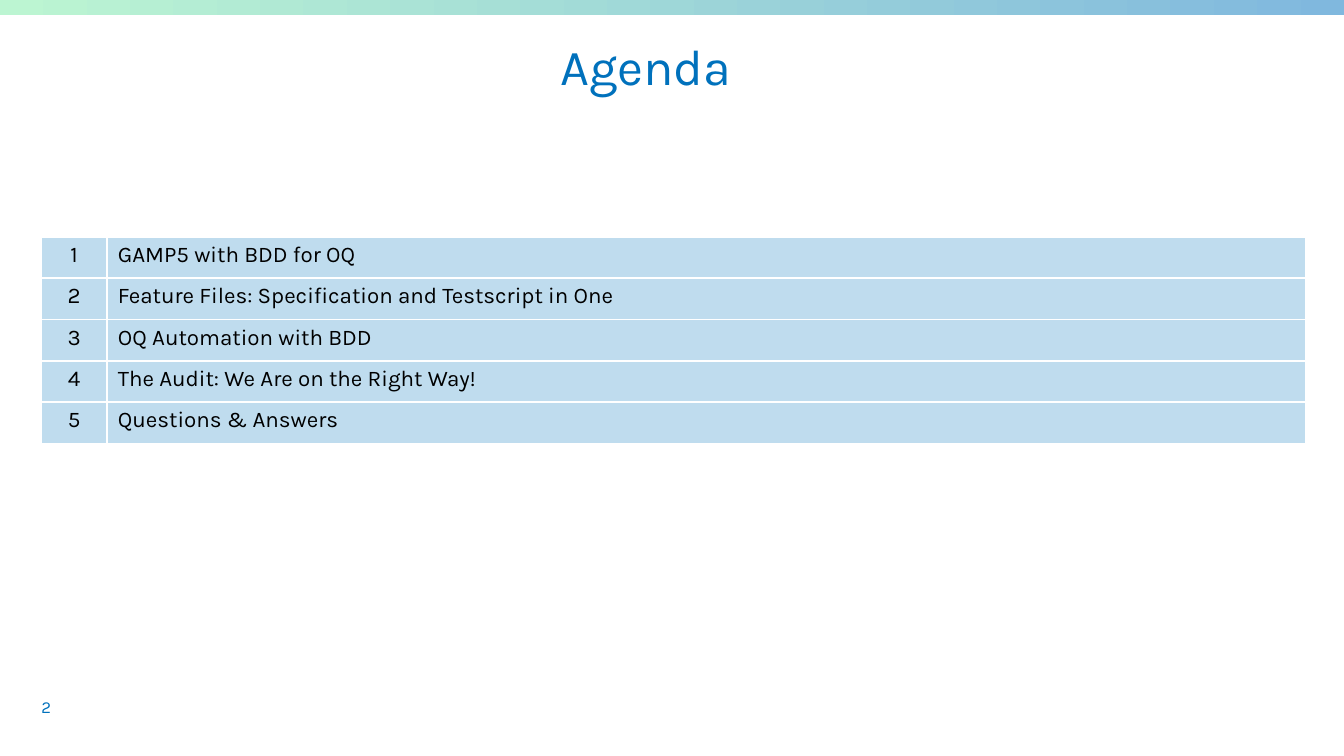
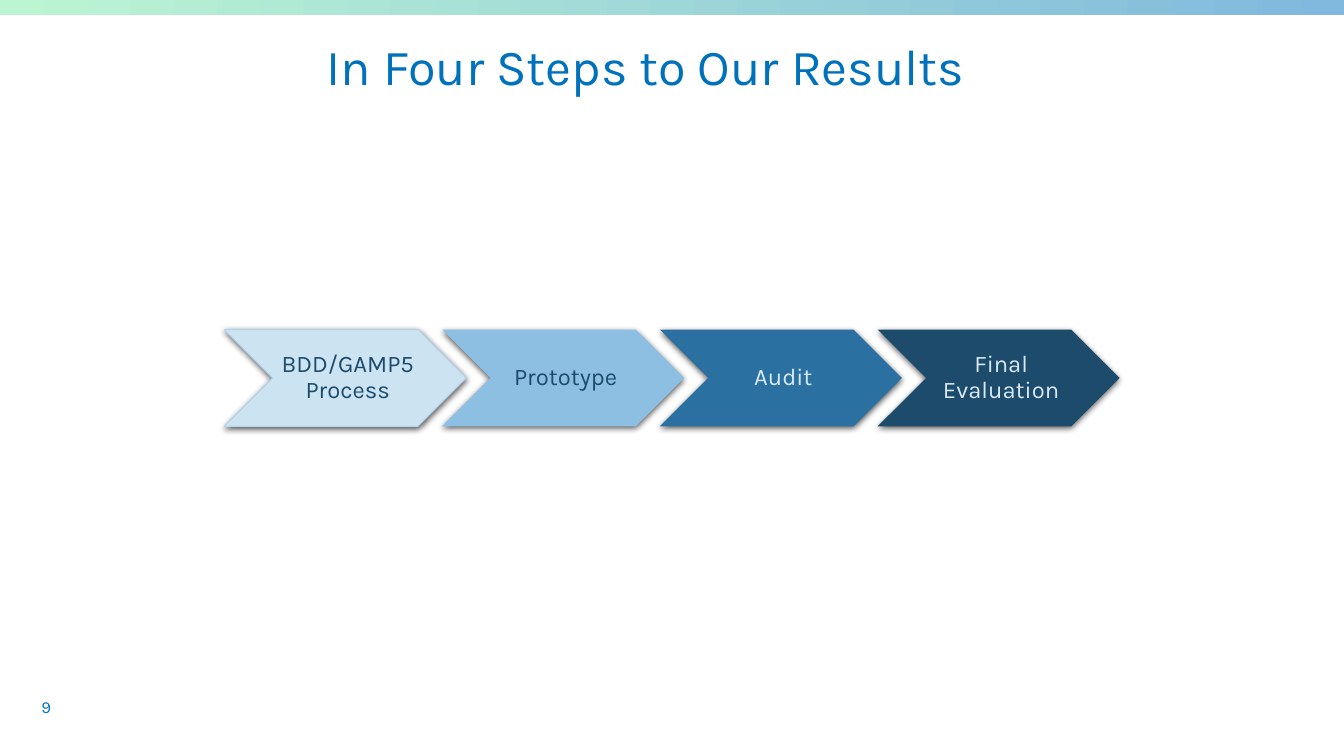
from lxml.etree import SubElement
from pptx import Presentation
from pptx.dml.color import RGBColor
from pptx.enum.shapes import MSO_SHAPE
from pptx.enum.text import MSO_ANCHOR, MSO_AUTO_SIZE, PP_ALIGN
from pptx.oxml import parse_xml
from pptx.oxml.ns import nsdecls, qn
from pptx.util import Inches, Pt

# Content
AGENDA = [
    "GAMP5 with BDD for OQ",
    "Feature Files: Specification and Testscript in One",
    "OQ Automation with BDD",
    "The Audit: We Are on the Right Way!",
    "Questions & Answers",
]

# Shared look
FONT = "Karla"
BLUE = RGBColor(0x00, 0x71, 0xBC)
MINT = RGBColor(0xBC, 0xF5, 0xD2)
SKY = RGBColor(0x80, 0xB8, 0xDE)
BLACK = RGBColor(0x00, 0x00, 0x00)
CELL = RGBColor(0xBF, 0xDC, 0xEE)
PALE = RGBColor(0xCC, 0xE3, 0xF2)
PALE_EDGE = RGBColor(0xB3, 0xD4, 0xEB)
LIGHT = RGBColor(0x8C, 0xBF, 0xE1)
MID = RGBColor(0x2A, 0x70, 0xA0)
DARK = RGBColor(0x1C, 0x4B, 0x6B)
ICE = RGBColor(0xD9, 0xEA, 0xF5)

# Label, fill, edge, text colour
STEPS = [
    ("BDD/GAMP5 Process", PALE, PALE_EDGE, DARK),
    ("Prototype", LIGHT, None, DARK),
    ("Audit", MID, None, ICE),
    ("Final Evaluation", DARK, None, ICE),
]

WIDTH, HEIGHT = 13.33, 7.5
MARGIN = 0.41


def box(left, top, width, height):
    return [Inches(v) for v in (left, top, width, height)]


def set_insets(tf, left=0, other=0):
    tf.margin_left = Inches(left)
    tf.margin_top = tf.margin_right = tf.margin_bottom = Inches(other)


def style(p, size, color, align=PP_ALIGN.LEFT):
    p.font.name, p.font.size, p.font.color.rgb = FONT, Pt(size), color
    p.alignment = align


def new_slide(prs, title, number):
    s = prs.slides.add_slide(prs.slide_layouts[5])

    # Gradient band
    band = s.shapes.add_shape(MSO_SHAPE.RECTANGLE, *box(0, 0, WIDTH, 0.15))
    band.shadow.inherit = False
    band.line.fill.background()
    band.fill.gradient()
    band.fill.gradient_angle = 0
    for stop, color in zip(band.fill.gradient_stops, (MINT, SKY)):
        stop.color.rgb = color

    # Title
    sp = s.shapes.title
    sp.left, sp.top, sp.width, sp.height = box(0.4, 0.3, 12.01, 0.7)
    tf = sp.text_frame
    tf.text = title
    tf.auto_size = MSO_AUTO_SIZE.NONE
    tf.vertical_anchor = MSO_ANCHOR.MIDDLE
    set_insets(tf)
    style(tf.paragraphs[0], 36, BLUE, PP_ALIGN.CENTER)

    # Page number
    tf = s.shapes.add_textbox(*box(MARGIN, 6.91, 0.82, 0.16)).text_frame
    tf.word_wrap = True
    tf.text = str(number)
    set_insets(tf)
    style(tf.paragraphs[0], 12, BLUE)
    return s


def add_borders(cell):
    tc_pr = cell._tc.get_or_add_tcPr()
    for i, side in enumerate("LRTB"):
        tc_pr.insert(i, parse_xml(
            f'<a:ln{side} w="{Pt(1.5)}" {nsdecls("a")}><a:solidFill>'
            f'<a:srgbClr val="FFFFFF"/></a:solidFill></a:ln{side}>'))


def add_agenda(s, items):
    number_w, text_w, row_h = 0.65, 11.89, 0.41
    frame = s.shapes.add_table(
        len(items), 2, *box(MARGIN, 2.35, number_w + text_w, row_h * len(items)))
    table = frame.table
    table.first_row = table.horz_banding = False
    table.columns[0].width, table.columns[1].width = Inches(number_w), Inches(text_w)
    for r, item in enumerate(items):
        values = ((str(r + 1), PP_ALIGN.CENTER), (item, PP_ALIGN.LEFT))
        for c, (text, align) in enumerate(values):
            cell = table.cell(r, c)
            cell.text = text
            cell.margin_left = cell.margin_right = Inches(0.11)
            cell.fill.solid()
            cell.fill.fore_color.rgb = CELL
            style(cell.text_frame.paragraphs[0], 16, BLACK, align)
            add_borders(cell)


def add_soft_shadow(sp):
    sp.shadow.inherit = False
    effects = sp._element.spPr.find(qn("a:effectLst"))
    shadow = SubElement(effects, qn("a:outerShdw"), blurRad=str(Pt(4.5)),
                        dist=str(Pt(1.5)), dir="5400000", rotWithShape="0")
    color = SubElement(shadow, qn("a:srgbClr"), val="000000")
    SubElement(color, qn("a:alpha"), val="63000")


def add_steps(s, steps):
    step_w, step_h = 2.4, 0.96
    pitch = 0.9 * step_w
    left = (WIDTH - pitch * (len(steps) - 1) - step_w) / 2
    top = (HEIGHT - step_h) / 2
    for i, (label, fill, edge, color) in enumerate(steps):
        sp = s.shapes.add_shape(
            MSO_SHAPE.CHEVRON, *box(left + i * pitch, top, step_w, step_h))
        sp.fill.solid()
        sp.fill.fore_color.rgb = fill
        if edge is None:
            sp.line.fill.background()
        else:
            sp.line.color.rgb = edge
            sp.line.width = Pt(0.75)
        add_soft_shadow(sp)
        tf = sp.text_frame
        tf.word_wrap = True
        tf.vertical_anchor = MSO_ANCHOR.MIDDLE
        tf.text = label
        set_insets(tf, 0.07, 0.02)
        p = tf.paragraphs[0]
        p.line_spacing = 0.9
        style(p, 17, color, PP_ALIGN.CENTER)


def main():
    prs = Presentation()
    prs.slide_width, prs.slide_height = Inches(WIDTH), Inches(HEIGHT)
    add_agenda(new_slide(prs, "Agenda", 2), AGENDA)
    add_steps(new_slide(prs, "In Four Steps to Our Results", 9), STEPS)
    prs.save("out.pptx")


if __name__ == "__main__":
    main()
